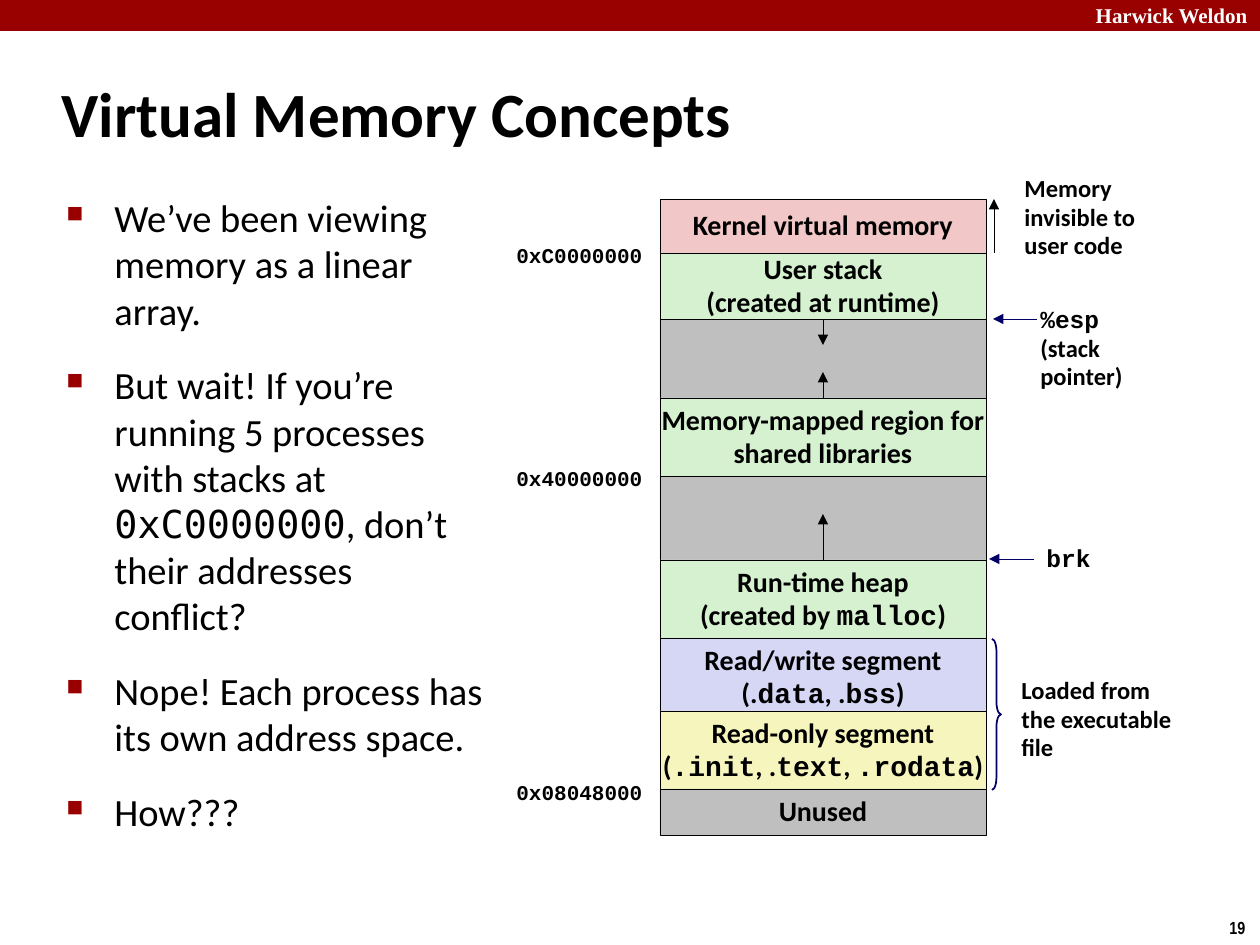
from dataclasses import dataclass

from lxml import etree
from pptx import Presentation
from pptx import util as u
from pptx.dml.color import RGBColor
from pptx.enum import shapes, text
from pptx.oxml.ns import qn

PX = 914400 / 126


@dataclass(frozen=True)
class Theme:
    """Colours, fonts and type sizes of the slide."""
    ink: str = "000000"
    white: str = "FFFFFF"
    crimson: str = "990000"
    navy: str = "000066"
    grey: str = "BFBFBF"
    pink: str = "F1C7C7"
    green: str = "D5F1CF"
    lilac: str = "D6D6F5"
    yellow: str = "F6F5BD"
    sans: str = "Calibri"
    code: str = "Courier New"
    title: int = 36
    body: int = 22
    segment: int = 16
    note: int = 14
    small: int = 12
    number: int = 10


T = Theme()
LEFT, CENTER, RIGHT = text.PP_ALIGN.LEFT, text.PP_ALIGN.CENTER, text.PP_ALIGN.RIGHT
TOP, MIDDLE = text.MSO_ANCHOR.TOP, text.MSO_ANCHOR.MIDDLE


def px(*lengths):
    """Turn picture pixels into EMU."""
    return [u.Emu(round(length * PX)) for length in lengths]


def write(frame, lines, size, align=LEFT, anchor=TOP, wrap=True, bold=True,
          color=T.ink, sans=T.sans, code=T.code, spacing=None):
    """Fill a text frame, one paragraph a line; `backticks` mark code."""
    frame.auto_size = text.MSO_AUTO_SIZE.NONE
    frame.word_wrap, frame.vertical_anchor = wrap, anchor
    for i, line in enumerate(lines):
        paragraph = frame.paragraphs[0] if i == 0 else frame.add_paragraph()
        paragraph.alignment = align
        paragraph.line_spacing = spacing
        for j, part in enumerate(line.split("`")):
            if part:
                run = paragraph.add_run()
                run.text = part
                look = {"size": u.Pt(size), "bold": bold, "name": code if j % 2 else sans}
                for key, value in look.items():
                    setattr(run.font, key, value)
                run.font.color.rgb = RGBColor.from_string(color)


deck = Presentation()
deck.slide_width, deck.slide_height = px(1260, 945)
slide = deck.slides.add_slide(deck.slide_layouts[5])
canvas = slide.shapes

# Header bar, page number and title
bar = canvas.add_shape(shapes.MSO_SHAPE.RECTANGLE, *px(0, 0, 1260, 31))
bar.shadow.inherit = False
bar.fill.solid()
bar.fill.fore_color.rgb = RGBColor.from_string(T.crimson)
bar.line.fill.background()
school = canvas.add_textbox(*px(1080, 0, 180, 31))
write(school.text_frame, ["Harwick Weldon"], T.small, RIGHT, MIDDLE,
      color=T.white, sans="Times New Roman")
page = canvas.add_textbox(*px(1217, 911, 43, 34))
write(page.text_frame, ["19"], T.number, wrap=False, sans="Arial Narrow")

title = canvas.title
title.left, title.top, title.width, title.height = px(49, 60, 1046, 105)
write(title.text_frame, ["Virtual Memory Concepts"], T.title, anchor=MIDDLE)

# Bulleted argument
argument = canvas.add_textbox(*px(54, 188, 450, 685)).text_frame
write(argument, [
    "We’ve been viewing memory as a linear array.",
    "But wait! If you’re running 5 processes with stacks at `0xC0000000`, "
    "don’t their addresses conflict?",
    "Nope! Each process has its own address space.",
    "How???",
], T.body, bold=False, code="DejaVu Sans Mono")
for point in argument.paragraphs:
    point.space_before, point.space_after = u.Pt(4.4), u.Pt(12)
    props = point._p.get_or_add_pPr()
    props.set("marL", str(px(48)[0]))
    props.set("indent", str(px(-48)[0]))
    bullet_color = etree.SubElement(props, qn("a:buClr"))
    etree.SubElement(bullet_color, qn("a:srgbClr"), val=T.crimson)
    etree.SubElement(props, qn("a:buSzPct"), val="60000")
    etree.SubElement(props, qn("a:buChar"), char="■")

# Address space, from high to low addresses: top, height, fill, lines
segments = [
    (199, 54, T.pink, ["Kernel virtual memory"]),
    (253, 66, T.green, ["User stack", "(created at runtime)"]),
    (319, 79, T.grey, []),
    (398, 78, T.green, ["Memory-mapped region for", "shared libraries"]),
    (476, 84, T.grey, []),
    (560, 78, T.green, ["Run-time heap", "(created by `malloc`)"]),
    (638, 78, T.lilac, ["Read/write segment", "(.`data`, .`bss`)"]),
    (711, 78, T.yellow, ["Read-only segment", "(`.init`, .`text`, `.rodata`)"]),
    (789, 46, T.grey, ["Unused"]),
]
for top, height, fill, lines in segments:
    segment = canvas.add_shape(shapes.MSO_SHAPE.RECTANGLE, *px(660, top, 326, height))
    segment.shadow.inherit = False
    segment.fill.solid()
    segment.fill.fore_color.rgb = RGBColor.from_string(fill)
    segment.line.color.rgb = RGBColor.from_string(T.ink)
    segment.line.width = u.Pt(0.26)
    write(segment.text_frame, lines, T.segment, CENTER, MIDDLE, wrap=False, spacing=0.98)

# Growth directions and pointers: from x, y to x, y
arrows = [
    (823, 319, 823, 345, T.ink),
    (823, 398, 823, 372, T.ink),
    (823, 560, 823, 514, T.ink),
    (994, 253, 994, 199, T.ink),
    (1037, 319, 993, 319, T.navy),
    (1034, 559, 989, 559, T.navy),
]
for *ends, color in arrows:
    arrow = canvas.add_connector(shapes.MSO_CONNECTOR.STRAIGHT, *px(*ends))
    arrow.line.color.rgb = RGBColor.from_string(color)
    arrow.line.width = u.Pt(0.26)
    etree.SubElement(arrow.line._get_or_add_ln(), qn("a:tailEnd"), type="triangle")
    etree.SubElement(arrow._element.spPr, qn("a:effectLst"))

loaded = canvas.add_shape(shapes.MSO_SHAPE.RIGHT_BRACE, *px(992, 639, 9, 151))
loaded.shadow.inherit = False
loaded.adjustments[0] = 1.42
loaded.fill.background()
loaded.line.color.rgb = RGBColor.from_string(T.navy)
loaded.line.width = u.Pt(0.99)

# Addresses on the left, remarks on the right
labels = [
    (504, 238, 158, 38, T.small, 0.94, ["`0xC0000000`"]),
    (504, 461, 158, 38, T.small, 0.94, ["`0x40000000`"]),
    (504, 775, 158, 38, T.small, 0.94, ["`0x08048000`"]),
    (1012, 168, 151, 101, T.note, 0.98, ["Memory", "invisible to", "user code"]),
    (1028, 299, 136, 100, T.note, 0.98, ["`%esp`", "(stack", "pointer)"]),
    (1034, 539, 82, 42, T.note, 0.94, ["`brk`"]),
    (1009, 670, 188, 101, T.note, 0.98, ["Loaded from the executable file"]),
]
for *box, size, spacing, lines in labels:
    label = canvas.add_textbox(*px(*box))
    write(label.text_frame, lines, size, spacing=spacing)

deck.save("out.pptx")
